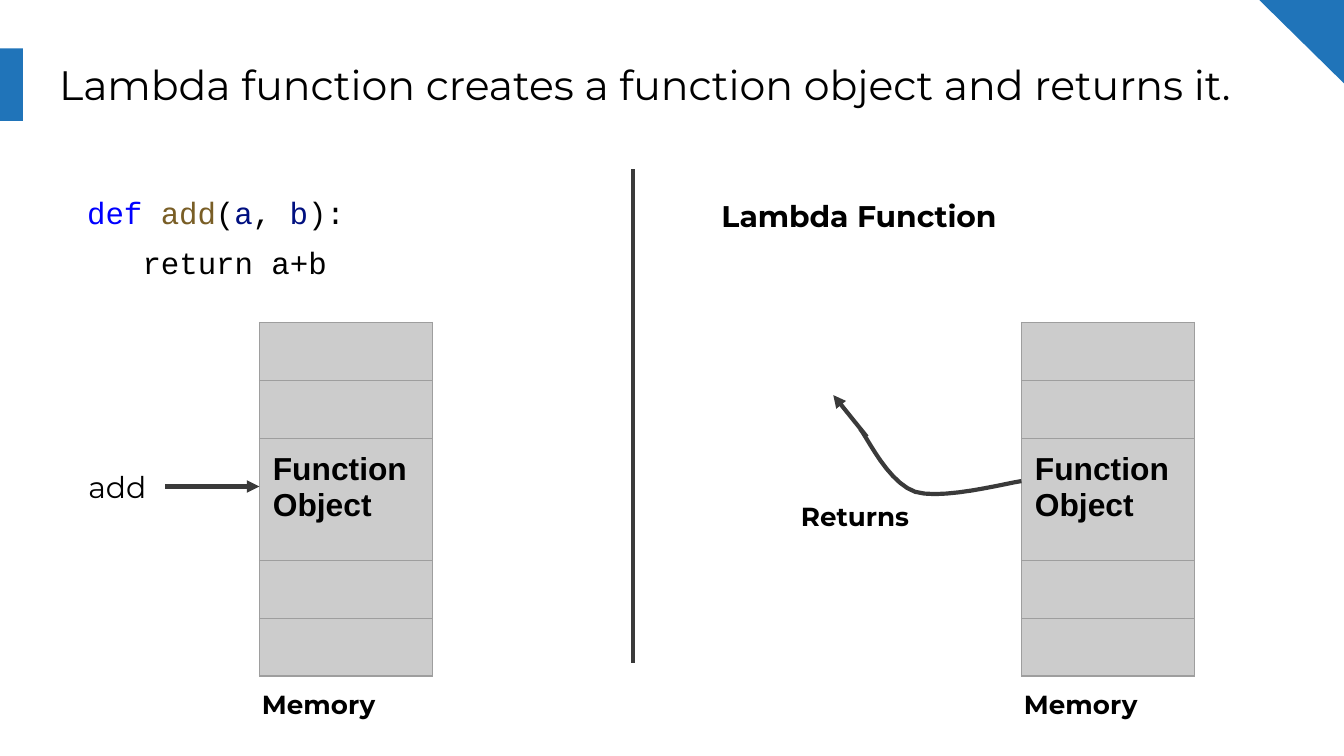
import pptx
import pptx.util
import pptx.dml.color
import pptx.enum.shapes
import pptx.enum.text
import pptx.oxml
import pptx.oxml.ns
from pptx.util import Inches, Pt

MSO_SHAPE = pptx.enum.shapes.MSO_SHAPE
BLUE, BLACK, DARK = "2074B9", "000000", "3A3A3A"
CELL, BORDER = "CCCCCC", "9E9E9E"


def color(value):
    return pptx.dml.color.RGBColor.from_string(value)


def element(tag, attributes="", content=""):
    ns = pptx.oxml.ns.nsdecls("a")
    return pptx.oxml.parse_xml(f"<a:{tag} {ns} {attributes}>{content}</a:{tag}>")


def bezier(p0, p1, p2, p3, steps=10):
    """Points along a cubic curve, without its start."""
    points = []
    for i in range(1, steps + 1):
        t = i / steps
        weights = ((1 - t) ** 3, 3 * t * (1 - t) ** 2, 3 * t * t * (1 - t), t ** 3)
        points.append(tuple(sum(w * p[axis] for w, p in zip(weights, (p0, p1, p2, p3)))
                            for axis in (0, 1)))
    return points


class SlideBuilder:
    font = "Montserrat"
    margin = Inches(0.1)
    line_width = Pt(2.25)

    def __init__(self, slide):
        self.s = slide

    def style(self, p, size, bold=False, font=None, fill=BLACK):
        p.font.name = font or self.font
        p.font.size = Pt(size)
        p.font.bold = bold
        p.font.color.rgb = color(fill)

    def frame(self, tf):
        tf.word_wrap = True
        tf.margin_left = tf.margin_right = self.margin
        tf.margin_top = tf.margin_bottom = self.margin

    def title(self, text, x, y, w, h):
        sp = self.s.shapes.title
        sp.left, sp.top, sp.width, sp.height = map(Inches, (x, y, w, h))
        tf = sp.text_frame
        self.frame(tf)
        tf.vertical_anchor = pptx.enum.text.MSO_ANCHOR.MIDDLE
        tf.text = text
        p = tf.paragraphs[0]
        p.alignment = pptx.enum.text.PP_ALIGN.LEFT
        self.style(p, 22)

    def text_box(self, x, y, w, h):
        sp = self.s.shapes.add_textbox(*map(Inches, (x, y, w, h)))
        self.frame(sp.text_frame)
        return sp.text_frame

    def label(self, text, x, y, w, h, size=14, bold=True):
        p = self.text_box(x, y, w, h).paragraphs[0]
        p.text = text
        self.style(p, size, bold)

    def code(self, lines, x, y, w, h, size=16.5):
        """Each line is an indent in characters and a list of (text, colour)."""
        tf = self.text_box(x, y, w, h)
        for i, (indent, runs) in enumerate(lines):
            p = tf.add_paragraph() if i else tf.paragraphs[0]
            p.line_spacing = 1.36
            self.style(p, size, font="Courier New")
            p._p.get_or_add_pPr().set("marL", str(Pt(indent * size * 0.6)))
            for text, fill in runs:
                r = p.add_run()
                r.text = text
                r.font.color.rgb = color(fill)

    def shape(self, kind, x, y, w, h, rotation=0):
        sp = self.s.shapes.add_shape(kind, *map(Inches, (x, y, w, h)))
        sp.shadow.inherit = False
        sp.fill.solid()
        sp.fill.fore_color.rgb = color(BLUE)
        sp.line.fill.background()
        sp.rotation = rotation

    def line(self, start, end, arrow=False):
        cn = self.s.shapes.add_connector(pptx.enum.shapes.MSO_CONNECTOR.STRAIGHT,
                                         *map(Inches, start + end))
        cn.line.color.rgb = color(DARK)
        cn.line.width = self.line_width
        if arrow:
            cn.line._get_or_add_ln().append(element("tailEnd", 'type="triangle"'))
        cn._element.spPr.append(element("effectLst"))

    def curve(self, start, *segments):
        points = [start]
        for segment in segments:
            points += bezier(points[-1], *segment)
        points = [tuple(map(Inches, point)) for point in points]
        fb = self.s.shapes.build_freeform(*points[0])
        fb.add_line_segments(points[1:], close=False)
        sp = fb.convert_to_shape()
        sp.shadow.inherit = False
        sp.fill.background()
        sp.line.color.rgb = color(DARK)
        sp.line.width = self.line_width

    def memory(self, x, y, text, width=1.29, heights=(0.43, 0.43, 0.91, 0.43, 0.43)):
        """A column of memory cells with the object in the middle one."""
        table = self.s.shapes.add_table(len(heights), 1, Inches(x), Inches(y),
                                        Inches(width), Inches(sum(heights))).table
        table.first_row = table.horz_banding = False
        edge = element("solidFill", content=f'<a:srgbClr val="{BORDER}"/>')
        edge = f'<a:solidFill><a:srgbClr val="{BORDER}"/></a:solidFill>'
        for i, height in enumerate(heights):
            table.rows[i].height = Inches(height)
            cell = table.cell(i, 0)
            tcPr = cell._tc.get_or_add_tcPr()
            for side in "LRTB":
                tcPr.append(element(f"ln{side}", f'w="{Pt(0.75)}"', edge))
            cell.fill.solid()
            cell.fill.fore_color.rgb = color(CELL)
        cell = table.cell(len(heights) // 2, 0)
        cell.margin_left = cell.margin_right = self.margin
        cell.margin_top = cell.margin_bottom = self.margin
        cell.text = text
        self.style(cell.text_frame.paragraphs[0], 17, True, "Arial")
        self.label("Memory", x - 0.08, 5.02, 1.46, 0.44)


def main():
    prs = pptx.Presentation()
    prs.slide_width = Inches(10)
    prs.slide_height = Inches(10 * 9 / 16)
    b = SlideBuilder(prs.slides.add_slide(prs.slide_layouts[5]))

    # Corner decoration and title
    b.shape(MSO_SHAPE.RECTANGLE, 0, 0.36, 0.17, 0.54)
    b.shape(MSO_SHAPE.RIGHT_TRIANGLE, 9.37, 0, 0.64, 0.63, rotation=180)
    b.title("Lambda function creates a function object and returns it.",
            0.34, 0.31, 9.32, 0.63)

    # Left: a named function
    b.code([(0, [("def", "0000FF"), (" ", BLACK), ("add", "795E26"), ("(", BLACK),
                 ("a", "001080"), (", ", BLACK), ("b", "001080"), ("):", BLACK)]),
            (3, [("return a+b", BLACK)])], 0.55, 1.24, 3.5, 0.86)
    b.memory(1.93, 2.4, "Function Object")
    b.line((1.23, 3.62), (1.93, 3.62), arrow=True)
    b.label("add", 0.56, 3.39, 0.67, 0.47, size=16, bold=False)

    # Divider
    b.line((4.71, 1.26), (4.71, 4.93))

    # Right: a lambda function
    b.label("Lambda Function", 5.27, 1.37, 3.37, 0.47, size=16)
    b.memory(7.6, 2.4, "Function Object")
    b.curve((7.6, 3.58),
            ((7.47, 3.6), (7.01, 3.72), (6.81, 3.66)),
            ((6.61, 3.59), (6.46, 3.27), (6.4, 3.19)))
    b.line((6.45, 3.25), (6.2, 2.94), arrow=True)
    b.label("Returns", 5.86, 3.62, 1.09, 0.44)

    prs.save("out.pptx")


if __name__ == "__main__":
    main()
